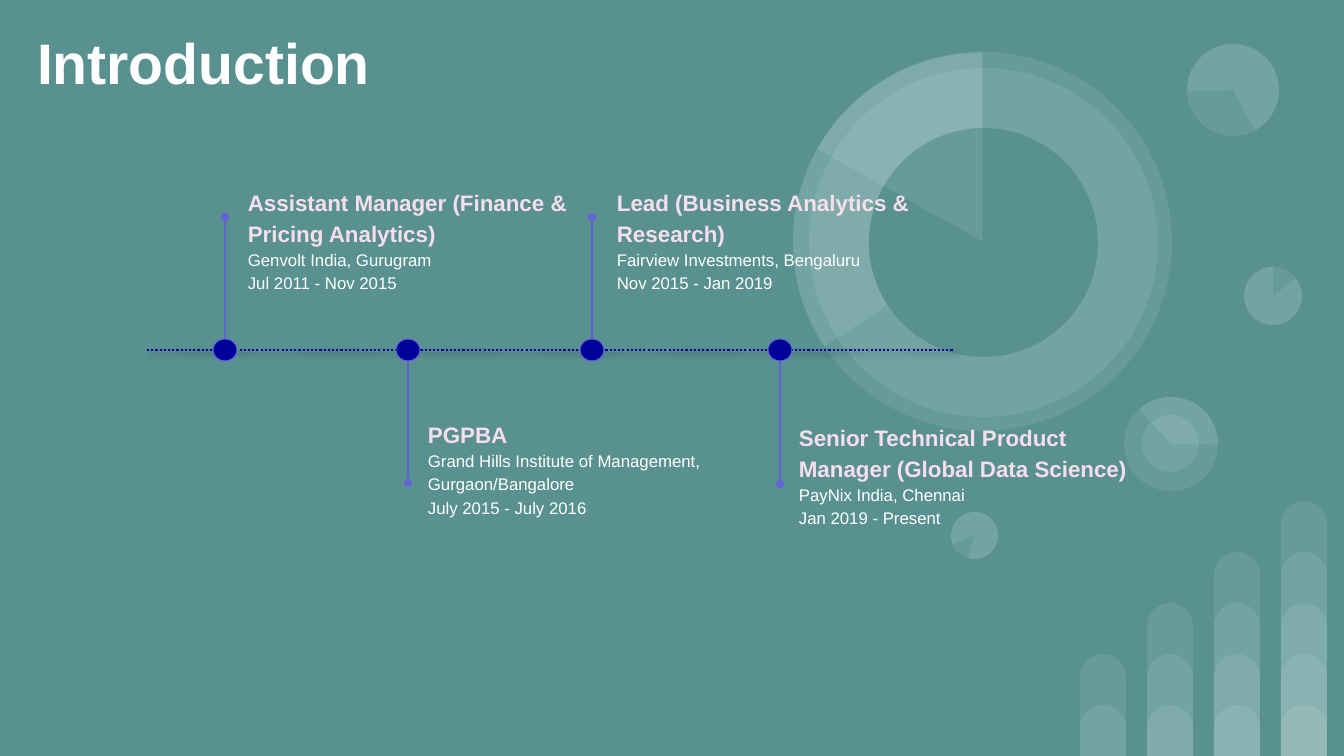
import pptx
import pptx.util
import pptx.dml.color
import pptx.oxml
import pptx.oxml.ns
import pptx.enum.dml
import pptx.enum.shapes
import pptx.enum.text

SCALE = 914400 / 100.8
WIDE, HIGH = 1344, 756
TEAL, WHITE, PINK = "599191", "FFFFFF", "F7DEEE"
NAVY, VIOLET = "000099", "6363D3"
FONT = "Arial"
KINDS = pptx.enum.shapes.MSO_SHAPE
AXIS = 350

# left, top, size
DISCS = [(1244, 267, 58), (951, 512, 47), (1124, 397, 94), (1142, 415, 57),
         (1187, 44, 92), (793, 52, 379), (809, 68, 349)]
# left, top, size, start angle, end angle, turn
PIES = [(1244, 267, 58, 322.95, 270, 0), (951, 512, 47, 322.95, 270, 196.2),
        (1124, 397, 94, 137.41, 270.77, 90),
        (1187, 44, 92, 322.95, 205.23, 215.9),
        (793, 53, 379, 146.69, 270, 0)]
SLICE = (793, 52, 379, 209.24, 270, 0)
HOLE = (869, 128, 229)

# dot centre, rod end, text box, role, place, dates
STEPS = [
    (225, 217, (238, 175, 384, 133),
     "Assistant Manager (Finance & Pricing Analytics)",
     "Genvolt India, Gurugram", "Jul 2011 - Nov 2015"),
    (408, 483, (418, 407, 398, 146), "PGPBA",
     "Grand Hills Institute of Management, Gurgaon/Bangalore",
     "July 2015 - July 2016"),
    (592, 217, (607, 175, 391, 143),
     "Lead (Business Analytics & Research)",
     "Fairview Investments, Bengaluru", "Nov 2015 - Jan 2019"),
    (780, 484, (789, 410, 359, 146),
     "Senior Technical Product Manager (Global Data Science)",
     "PayNix India, Chennai", "Jan 2019 - Present"),
]


def px(*nums):
    return [pptx.util.Emu(round(n * SCALE)) for n in nums]


def tint(code):
    return pptx.dml.color.RGBColor.from_string(code)


def node(parent, tag, **attrs):
    child = pptx.oxml.ns.qn(tag)
    item = parent.makeelement(child, attrs)
    parent.append(item)
    return item


def add_form(slide, kind, box, code, alpha=None):
    form = slide.shapes.add_shape(kind, *px(*box))
    form.shadow.inherit = False
    form.fill.solid()
    form.fill.fore_color.rgb = tint(code)
    form.line.fill.background()
    if alpha:
        fill = form.fill._xPr.find(pptx.oxml.ns.qn("a:solidFill"))
        node(fill[0], "a:alpha", val=str(alpha * 1000))
    return form


def add_disc(slide, left, top, size, code=WHITE, alpha=9):
    return add_form(slide, KINDS.OVAL, (left, top, size, size), code, alpha)


def add_pie(slide, left, top, size, start, end, turn):
    pie = add_form(slide, KINDS.PIE, (left, top, size, size), WHITE, 9)
    # Angles are stored in 60000ths of a degree, adjustments in 100000ths.
    pie.adjustments[0] = start * 0.6
    pie.adjustments[1] = end * 0.6
    pie.rotation = turn


def add_bars(slide):
    """Draw four columns of stacked translucent bars, each one level taller."""
    step, rise = 67, 51
    for col in range(4):
        for level in range(1, col + 3):
            tall = rise * level
            bar = add_form(slide, KINDS.ROUND_2_SAME_RECTANGLE,
                           (1080 + step * col, HIGH - tall, 46, tall), WHITE, 9)
            bar.adjustments[0] = 0.5
            bar.adjustments[1] = 0


def add_line(slide, ends, code):
    """Draw a line and return it with its empty effect list."""
    kind = pptx.enum.shapes.MSO_CONNECTOR.STRAIGHT
    line = slide.shapes.add_connector(kind, *px(*ends))
    line.line.color.rgb = tint(code)
    line.line.width = pptx.util.Pt(1.5)
    return line, node(line._element.spPr, "a:effectLst")


def add_run(para, text, size, code, bold=False):
    run = para.add_run()
    run.text = text
    run.font.name = FONT
    run.font.size = pptx.util.Pt(size)
    run.font.bold = bold
    run.font.color.rgb = tint(code)


def set_frame(frame, inset):
    frame.word_wrap = True
    frame.auto_size = pptx.enum.text.MSO_AUTO_SIZE.NONE
    frame.margin_left = frame.margin_right = pptx.util.Inches(inset)
    frame.margin_top = frame.margin_bottom = pptx.util.Inches(inset)


def add_title(slide, text):
    title = slide.shapes.title
    title.left, title.top, title.width, title.height = px(24, 15, 1300, 94)
    frame = title.text_frame
    set_frame(frame, 0.13)
    frame.vertical_anchor = pptx.enum.text.MSO_ANCHOR.MIDDLE
    para = frame.paragraphs[0]
    para.alignment = pptx.enum.text.PP_ALIGN.LEFT
    add_run(para, text, 40.8, WHITE, True)


def add_axis(slide):
    line, glow = add_line(slide, (147, AXIS, 954, AXIS), NAVY)
    line.line.dash_style = pptx.enum.dml.MSO_LINE.ROUND_DOT
    shade = node(glow, "a:outerShdw", blurRad="50800", dist="38100",
                 dir="2700000", algn="tl", rotWithShape="0")
    black = node(shade, "a:srgbClr", val="000000")
    node(black, "a:alpha", val="40000")


def add_step(slide, mid, end, box, role, place, dates):
    dot = add_form(slide, KINDS.OVAL, (mid - 12, AXIS - 11, 24, 22), NAVY)
    dot.line.color.rgb = tint(VIOLET)
    dot.line.width = pptx.util.Pt(0.75)

    edge = AXIS + (11 if end > AXIS else -11)
    rod, _ = add_line(slide, (mid, edge, mid, end), VIOLET)
    node(rod.line._get_or_add_ln(), "a:tailEnd", type="oval")

    frame = slide.shapes.add_textbox(*px(*box)).text_frame
    set_frame(frame, 0.1)
    rows = [(role, 16, PINK, True), (place, 12, WHITE), (dates, 12, WHITE)]
    for i, row in enumerate(rows):
        para = frame.add_paragraph() if i else frame.paragraphs[0]
        para.line_spacing = 1.15
        add_run(para, *row)


def main():
    deck = pptx.Presentation()
    deck.slide_width, deck.slide_height = px(WIDE, HIGH)
    slide = deck.slides.add_slide(deck.slide_layouts[5])
    slide.background.fill.solid()
    slide.background.fill.fore_color.rgb = tint(TEAL)

    add_bars(slide)
    for disc in DISCS:
        add_disc(slide, *disc)
    for pie in PIES:
        add_pie(slide, *pie)
    add_disc(slide, *HOLE, TEAL, None)
    add_pie(slide, *SLICE)

    add_title(slide, "Introduction")
    add_axis(slide)
    for step in STEPS:
        add_step(slide, *step)
    deck.save("out.pptx")


if __name__ == "__main__":
    main()
